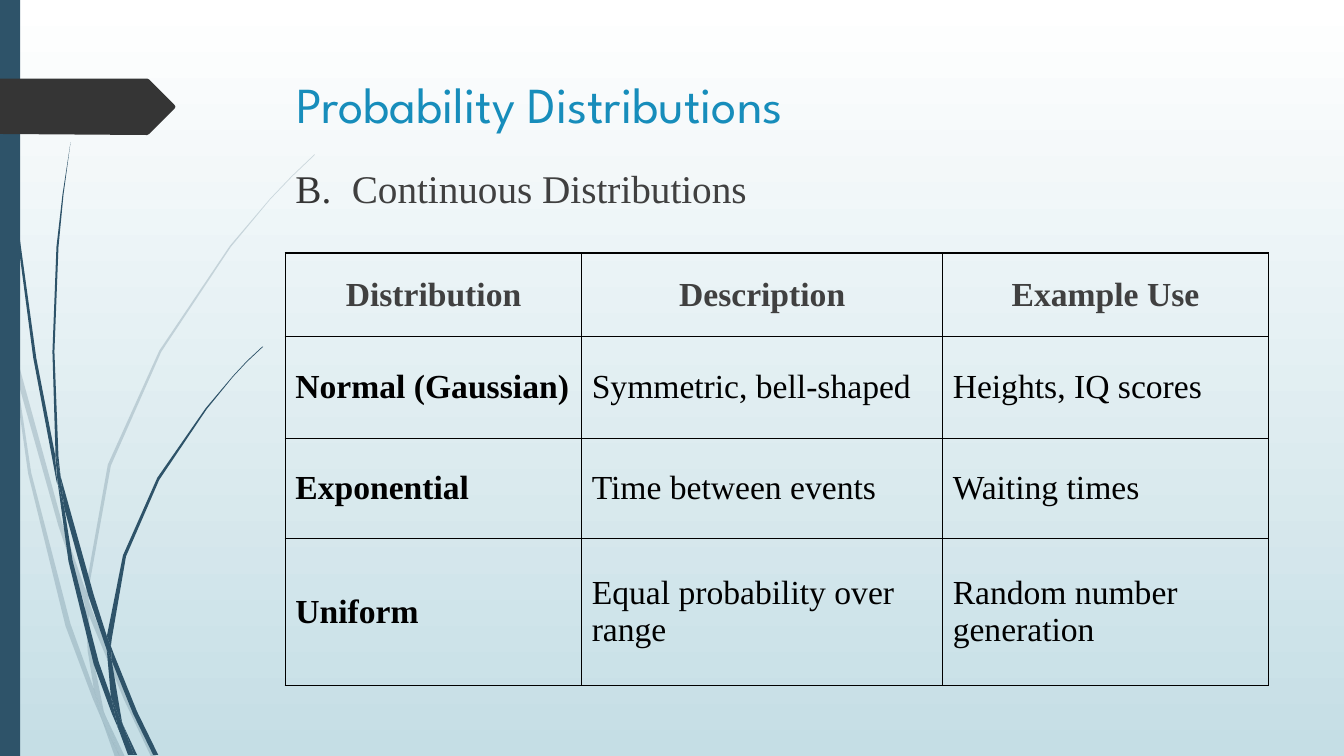
import pptx
import pptx.dml.color
import pptx.enum.shapes
import pptx.enum.text
import pptx.oxml
import pptx.oxml.ns
import pptx.util
from lxml import etree

PX = 9144  # 100 px to the inch
BLUE, DARK, GREY, BLACK = "2E5369", "353535", "404040", "000000"
SERIF = "Times New Roman"

# Anchor points of each outline, in px
PALE = [
    "11,350 9,322 0,282 0,299 10,344",
    "58,522 84,599 85,586 62,520 14,345 17,376",
    "92,607 88,596 88,610 123,694 150,751 155,751 127,692",
    "119,751 124,751 105,711",
    "93,683 70,619 31,469 17,376 11,350 28,470 65,621 92,693 101,714 99,707",
    "84,599 87,646 93,683 96,692 105,711 103,706 91,646 88,610 88,608",
    "88,584 110,462 160,349 229,245 268,198 290,175 312,154 312,153 "
    "289,175 268,197 228,244 158,348 107,461 85,584 85,586 88,596",
    "101,714 114,751 119,751",
    "88,608 88,610 88,596 85,586 84,599",
    "96,692 93,683 99,707 101,714 119,751 105,711",
]
DEEP = [
    "7,110 17,233 33,355 56,477 57,481 55,457 55,453 36,355 19,232 8,109 "
    "5,48 4,0 3,0 4,48",
    "88,592 106,645 106,633 106,631 93,590 60,472 64,505",
    "113,649 110,641 111,656 132,708 152,749 157,749 136,706",
    "110,691 98,657 72,556 64,505 57,477 68,557 93,659 111,708 117,722 116,717",
    "60,472 58,453 54,349 58,245 63,193 70,141 62,193 56,245 52,349 55,449",
    "133,749 136,749 122,719",
    "57,477 64,505 60,472 55,449 55,453",
    "111,633 125,552 158,476 205,406 231,374 245,359 261,344 260,344 "
    "245,358 231,373 204,405 156,474 122,551 106,631 110,641",
    "117,722 127,749 131,749",
    "106,645 110,691 116,706 122,719 121,716 111,656 109,651",
    "106,645 109,651 111,656 110,641 106,631 106,633",
    "116,706 110,691 116,717 117,722 130,749 133,749 122,719",
]
ARROW = "0,78 146,78 148,79 173,104 174,106 173,108 148,133 146,134 0,133"

COLS, ROWS = [294, 358, 323], [83, 101, 99, 146]
CELLS = [
    ["Distribution", "Description", "Example Use"],
    ["Normal (Gaussian)", "Symmetric, bell-shaped", "Heights, IQ scores"],
    ["Exponential", "Time between events", "Waiting times"],
    ["Uniform", "Equal probability over range", "Random number generation"],
]


def rgb(code):
    return pptx.dml.color.RGBColor.from_string(code)


def put(item, **values):
    """Set each named value on the item."""
    for name, value in values.items():
        setattr(item, name, value)


def place(item, *box):
    put(item, **dict(zip(("left", "top", "width", "height"), (n * PX for n in box))))


def write(para, text, size, face, code, bold=False):
    run = para.add_run()
    run.text = text
    put(run.font, size=pptx.util.Pt(size), name=face, bold=bold)
    run.font.color.rgb = rgb(code)


def paint(shape, code, alpha=100):
    shape.shadow.inherit = False
    shape.fill.solid()
    shape.fill.fore_color.rgb = rgb(code)
    shape.line.fill.background()
    if alpha < 100:
        tint = next(shape.element.iter(pptx.oxml.ns.qn("a:srgbClr")))
        etree.SubElement(tint, pptx.oxml.ns.qn("a:alpha"), val=str(alpha * 1000))


def outline(shapes, text, code, alpha=100):
    dots = [tuple(map(int, pair.split(","))) for pair in text.split()]
    pen = shapes.build_freeform(*dots[0], scale=PX)
    pen.add_line_segments(dots[1:], close=True)
    paint(pen.convert_to_shape(), code, alpha)


def wisps(slide, lines, alpha):
    group = slide.shapes.add_group_shape()
    for line in lines:
        outline(group.shapes, line, BLUE, alpha)


def scene(slide):
    """Draw the backdrop, stems, side bar and arrow tab."""
    fill = slide.background.fill
    fill.gradient()
    fill.gradient_angle = 270
    for stop, code in zip(fill.gradient_stops, ("FFFFFF", "C5DEE5")):
        stop.color.rgb = rgb(code)
    wisps(slide, PALE, 20)
    wisps(slide, DEEP, 100)
    kind = pptx.enum.shapes.MSO_SHAPE.RECTANGLE
    paint(slide.shapes.add_shape(kind, 0, 0, 20 * PX, 750 * PX), BLUE)
    outline(slide.shapes, ARROW, DARK)


def holder(item, box):
    """Bring a placeholder forward, place it, and return its first paragraph."""
    item.element.getparent().append(item.element)
    place(item, *box)
    put(item.text_frame, word_wrap=True,
        auto_size=pptx.enum.text.MSO_AUTO_SIZE.NONE,
        vertical_anchor=pptx.enum.text.MSO_ANCHOR.TOP)
    para = item.text_frame.paragraphs[0]
    put(para, alignment=pptx.enum.text.PP_ALIGN.LEFT, space_before=pptx.util.Pt(0))
    return para


def letter(para, start):
    """Number the paragraph with a capital letter and hanging indent."""
    props = para._p.get_or_add_pPr()
    props.set("marL", str(56 * PX))
    props.set("indent", str(-56 * PX))
    space = pptx.oxml.ns.nsdecls("a")
    for xml in (f'<a:buClr {space}><a:srgbClr val="{DARK}"/></a:buClr>',
                f'<a:buFont {space} typeface="{SERIF}"/>',
                f'<a:buAutoNum {space} type="alphaUcPeriod" startAt="{start}"/>'):
        props.append(pptx.oxml.parse_xml(xml))


def border(cell):
    props = cell._tc.get_or_add_tcPr()
    for side in "LRTB":
        props.append(pptx.oxml.parse_xml(
            f'<a:ln{side} {pptx.oxml.ns.nsdecls("a")} w="12700"><a:solidFill>'
            f'<a:srgbClr val="{BLACK}"/></a:solidFill></a:ln{side}>'))


def grid(slide, left, top):
    frame = slide.shapes.add_table(len(ROWS), len(COLS), left * PX, top * PX,
                                   sum(COLS) * PX, sum(ROWS) * PX)
    table = frame.table
    put(table, first_row=False, horz_banding=False)
    for col, width in zip(table.columns, COLS):
        col.width = width * PX
    for row, height in zip(table.rows, ROWS):
        row.height = height * PX
    for r, texts in enumerate(CELLS):
        for c, text in enumerate(texts):
            cell = table.cell(r, c)
            border(cell)
            cell.fill.background()
            cell.vertical_anchor = pptx.enum.text.MSO_ANCHOR.MIDDLE
            para = cell.text_frame.paragraphs[0]
            if r == 0:
                para.alignment = pptx.enum.text.PP_ALIGN.CENTER
            write(para, text, 24, SERIF, BLACK if r else GREY, r == 0 or c == 0)


def main():
    deck = pptx.Presentation()
    put(deck, slide_width=1333 * PX, slide_height=750 * PX)
    slide = deck.slides.add_slide(deck.slide_layouts[1])
    scene(slide)
    title = holder(slide.shapes.title, (284, 68, 975, 140))
    write(title, "Probability Distributions", 36, "League Spartan", "178DBB")
    body = holder(slide.placeholders[1], (283, 158, 975, 488))
    letter(body, 2)
    write(body, "Continuous Distributions", 28, SERIF, GREY)
    grid(slide, 283, 251)
    deck.save("out.pptx")


if __name__ == "__main__":
    main()
